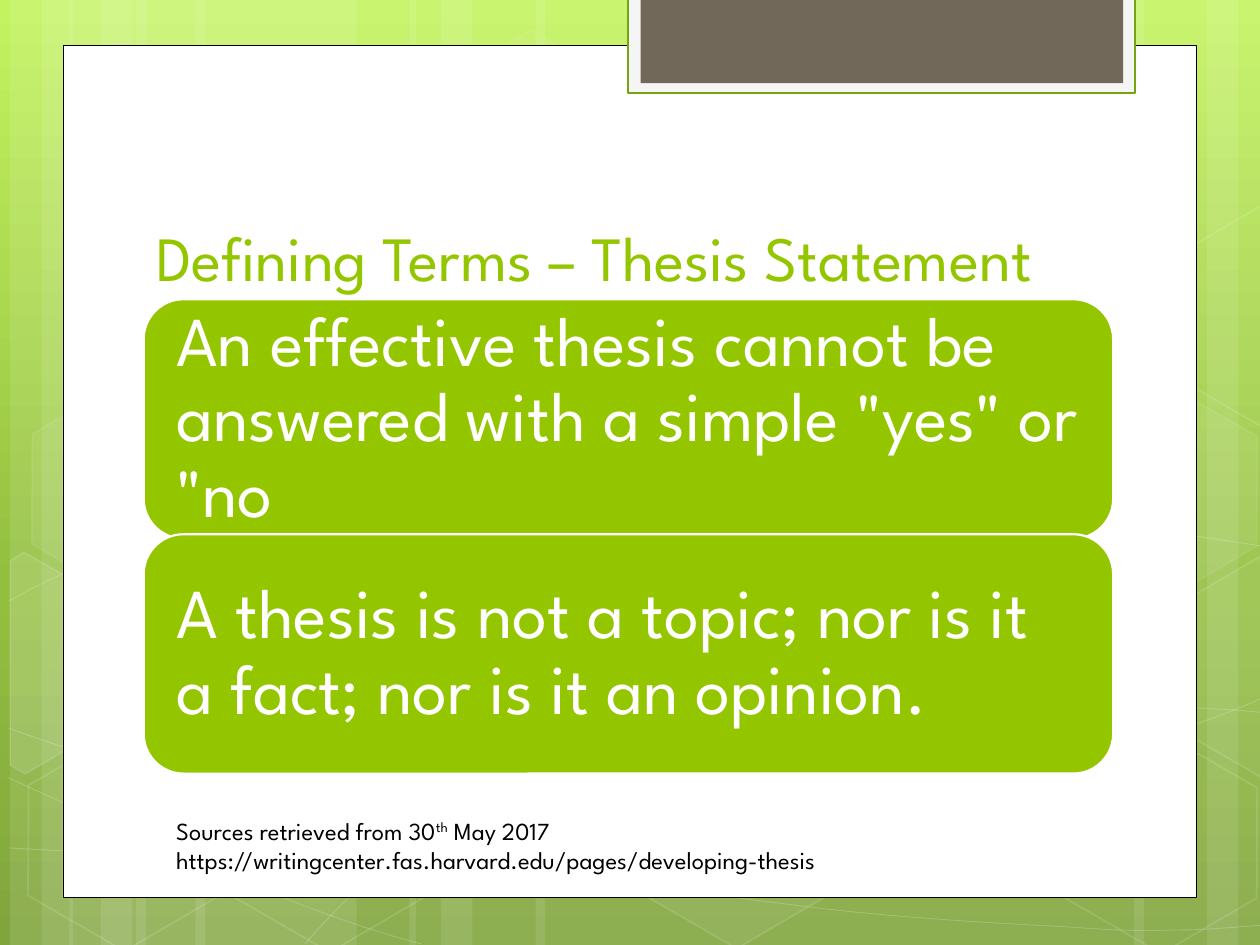
from copy import deepcopy
from math import cos, radians, sin
from typing import NamedTuple, Optional

from lxml import etree
from pptx import Presentation
from pptx.dml.color import RGBColor
from pptx.enum.shapes import MSO_SHAPE
from pptx.enum.text import MSO_ANCHOR, MSO_AUTO_SIZE, PP_ALIGN
from pptx.oxml.ns import qn
from pptx.util import Inches, Pt

RECT = MSO_SHAPE.RECTANGLE
ROUND = MSO_SHAPE.ROUNDED_RECTANGLE
HEX = MSO_SHAPE.HEXAGON
LEFT = PP_ALIGN.LEFT
TOP, MIDDLE, BOTTOM = MSO_ANCHOR.TOP, MSO_ANCHOR.MIDDLE, MSO_ANCHOR.BOTTOM
GROW = MSO_AUTO_SIZE.SHAPE_TO_FIT_TEXT

COLS, ROWS = 100, 75
CELL = Inches(10) / COLS
TILT = 30
FONT = "League Spartan"
COLORS = {
    "white": "FFFFFF", "black": "000000", "lime": "94C600", "edge": "74A510",
    "pale": "F5F5F5", "brown": "71685A",
    "light": "C3F35F", "mid": "93BF3F", "deep": "81A53E",
}


class Box(NamedTuple):
    x: float
    y: float
    w: float
    h: float


class Paint(NamedTuple):
    fill: Optional[str] = None
    alpha: int = 100
    line: Optional[str] = None
    width: float = 1
    sheer: int = 100


class Piece(NamedTuple):
    text: str
    raised: bool = False


class Hex(NamedTuple):
    x: float
    y: float
    alpha: int
    sheer: int


class Part(NamedTuple):
    center: tuple
    points: list
    alpha: int


class Curve(NamedTuple):
    knots: list
    flat: int = -1


STRIPES = [
    (10.8, 17.5), (0.8, 5), (3.3, 8.3), (15.5, 17.5), (5.5, 5), (8, 8.3),
    (73.3, 17.5), (95.8, 5), (90, 8.3), (42.5, 30.8), (32.5, 5), (35, 8.3),
]
CURVES = [
    Curve([(0.7, 67.3), (6.1, 67.6), (11.5, 67.9), (19, 67.8), (26.5, 67.7),
           (35.8, 67.5), (45.8, 66.5), (55.8, 65.5), (70, 63.6), (79.2, 61.7),
           (88.3, 59.8), (97.7, 56.8), (100.7, 55.1)]),
    Curve([(0.7, 47.7), (3.6, 46.1), (6.5, 44.6), (12.1, 43.1), (17.8, 41.6),
           (25.9, 39.4), (34.7, 38.7), (43.6, 38), (54.4, 37.9), (65.4, 38.7),
           (76.4, 39.5), (94.7, 42.6), (100.7, 43.4)]),
    Curve([(0.6, 61.7), (12.7, 67.2), (24.7, 72.7), (33.4, 74.9)]),
    Curve([(0.7, 57.8), (3.8, 58.9), (7, 60), (12.8, 61.6), (18.6, 63.1),
           (27.3, 65.6), (35.7, 67.3), (44, 69), (54.5, 70.8), (62.8, 71.8),
           (71.1, 72.9), (80, 73.3), (85.3, 73.6), (90.5, 74), (91.9, 73.8),
           (94.5, 73.8), (97.1, 73.7), (98.9, 73.5), (100.7, 73.4)]),
    Curve([(24.2, 74.9), (26, 72.9), (27.8, 70.9), (30.2, 69.1), (32.6, 67.3),
           (36, 65.3), (38.8, 63.9), (41.6, 62.5), (43.3, 61.9), (47, 60.9),
           (50.6, 59.9), (57.3, 58.5), (60.8, 57.8), (64.4, 57.1),
           (64.9, 57.1), (68, 56.9), (71.1, 56.6), (76, 56.3), (79.4, 56.2),
           (82.9, 56.1), (88.6, 56.2), (88.6, 56.2), (95.3, 56.2),
           (97.1, 56.3), (98.8, 56.4), (99.7, 56.5), (100.6, 56.6),
           (100.3, 56.5), (100.6, 56.6)], 21),
]
HEXES = [
    Hex(33.4, 3.6, 4, 8), Hex(49.7, 58.9, 6, 12), Hex(1.1, 59.1, 0, 12),
    Hex(1.4, 31.2, 7, 8), Hex(17.4, 59.2, 0, 12), Hex(75.3, 45.3, 10, 12),
    Hex(83.4, 59.3, 0, 12), Hex(83.4, 31.4, 7, 8),
]
PARTS = [
    Part((3.6, 53.5), [(0.8, 44.5), (1.9, 43.8), (9.6, 48.2), (9.5, 57),
                       (2, 61.4), (0.8, 60.7)], 10),
    Part((98.5, 52), [(92.6, 48.5), (100.1, 44.1), (100.9, 44.6),
                      (100.9, 61.3), (100.2, 61.7), (92.6, 57.3)], 4),
    Part((98.5, 24.1), [(92.6, 20.7), (100.1, 16.3), (101, 16.8),
                        (100.9, 33.5), (100.2, 33.9), (92.6, 29.5)], 0),
]
CLAIMS = [
    "An effective thesis cannot be answered with a simple \"yes\" or \"no",
    "A thesis is not a topic; nor is it a fact; nor is it an opinion.",
]
SOURCE = [
    Piece("Sources retrieved from 30"),
    Piece("th", True),
    Piece(" May 2017 https://writingcenter.fas.harvard.edu/pages/developing-thesis"),
]


def grid(*cells: float) -> list[int]:
    return [round(cell * CELL) for cell in cells]


def tint(shape, path: str, alpha: int) -> None:
    if alpha < 100:
        color = shape._element.xpath(f"./p:spPr/{path}a:solidFill/a:srgbClr")[0]
        etree.SubElement(color, qn("a:alpha")).set("val", str(alpha * 1000))


def coat(shape, paint: Paint) -> None:
    shape.shadow.inherit = False
    if paint.fill and paint.alpha:
        shape.fill.solid()
        shape.fill.fore_color.rgb = RGBColor.from_string(COLORS[paint.fill])
        tint(shape, "", paint.alpha)
    else:
        shape.fill.background()
    if paint.line:
        shape.line.color.rgb = RGBColor.from_string(COLORS[paint.line])
        shape.line.width = Pt(paint.width)
        tint(shape, "a:ln/", paint.sheer)
    else:
        shape.line.fill.background()


def block(slide, kind, box: Box, paint: Paint):
    shape = slide.shapes.add_shape(kind, *grid(*box))
    coat(shape, paint)
    return shape


def trace(slide, points: list, paint: Paint, close: bool):
    spots = [grid(*point) for point in points]
    pen = slide.shapes.build_freeform(*spots[0], scale=1.0)
    pen.add_line_segments(spots[1:], close=close)
    shape = pen.convert_to_shape()
    coat(shape, paint)
    return shape


def bend(shape, flat: int) -> None:
    route = shape._element.xpath(".//a:path")[0]
    lines = route.findall(qn("a:lnTo"))
    if flat >= 0:
        lines.pop(flat)
    for first in range(0, len(lines), 3):
        arc = etree.Element(qn("a:cubicBezTo"))
        lines[first].addprevious(arc)
        for line in lines[first:first + 3]:
            arc.append(line[0])
            route.remove(line)


def turn(point: tuple, center: tuple) -> tuple:
    c, s = cos(radians(TILT)), sin(radians(TILT))
    x, y = point[0] - center[0], point[1] - center[1]
    return center[0] + x * c + y * s, center[1] + y * c - x * s


def write(slide, box: Box, pieces: list[Piece], size: int, color: str, anchor):
    frame = slide.shapes.add_textbox(*grid(*box)).text_frame
    frame.word_wrap = True
    frame.vertical_anchor = anchor
    line = frame.paragraphs[0]
    line.alignment = LEFT
    for piece in pieces:
        run = line.add_run()
        run.text = piece.text
        run.font.name = FONT
        run.font.size = Pt(size)
        run.font.color.rgb = RGBColor.from_string(COLORS[color])
        if piece.raised:
            run.font._element.set("baseline", "30000")
    return frame


def wash(slide) -> None:
    fill = slide.background.fill
    fill.gradient()
    fill.gradient_angle = 270
    stops = slide.element.xpath(".//p:bg//a:gsLst")[0]
    stops.insert(1, deepcopy(stops[0]))
    shades = [(0, "light"), (0.62, "mid"), (1, "deep")]
    for stop, (place, name) in zip(fill.gradient_stops, shades):
        stop.position = place
        stop.color.rgb = RGBColor.from_string(COLORS[name])


def main() -> None:
    deck = Presentation()
    deck.slide_width, deck.slide_height = grid(COLS, ROWS)
    slide = deck.slides.add_slide(deck.slide_layouts[6])
    wash(slide)
    for x, w in STRIPES:
        block(slide, RECT, Box(x, 0, w, ROWS), Paint("white", 10))
    for knots, flat in CURVES:
        thread = Paint(line="white", width=0.5, sheer=20)
        bend(trace(slide, knots, thread, False), flat)
    for x, y, alpha, sheer in HEXES:
        shape = block(slide, HEX, Box(x, y, 17.5, 15.2),
                      Paint("white", alpha, "white", 1, sheer))
        shape.adjustments[0] = 0.285
        shape.rotation = TILT
    for center, points, alpha in PARTS:
        turned = [turn(point, center) for point in points]
        shape = trace(slide, turned, Paint("white", alpha, "white", 1, 12), True)
        shape.rotation = TILT

    block(slide, RECT, Box(5, 3.6, 90, 67.65), Paint("white", line="black", width=0.5))
    block(slide, RECT, Box(49.85, -0.2, 40.25, 7.6), Paint("pale", line="edge", width=1.25))
    block(slide, RECT, Box(50.85, -0.2, 38.3, 6.8), Paint("brown"))

    write(slide, Box(11.4, 11.2, 76.8, 12.6),
          [Piece("Defining Terms – Thesis Statement")], 36, "lime", BOTTOM)
    for row, claim in enumerate(CLAIMS):
        y = 23.75 + row * 18.65
        block(slide, ROUND, Box(11.4, y, 76.95, 19),
              Paint("lime", line="white", width=1.25))
        frame = write(slide, Box(12.3, y + 0.95, 75.1, 17.1), [Piece(claim)],
                      40, "white", MIDDLE)
        frame.margin_left = frame.margin_right = Inches(0.17)
        frame.margin_top = frame.margin_bottom = Inches(0.17)
        frame.paragraphs[0].line_spacing = 0.9
    note = write(slide, Box(13, 64.25, 73.2, 5.7), SOURCE, 14, "black", TOP)
    note.auto_size = GROW
    deck.save("out.pptx")


if __name__ == "__main__":
    main()
